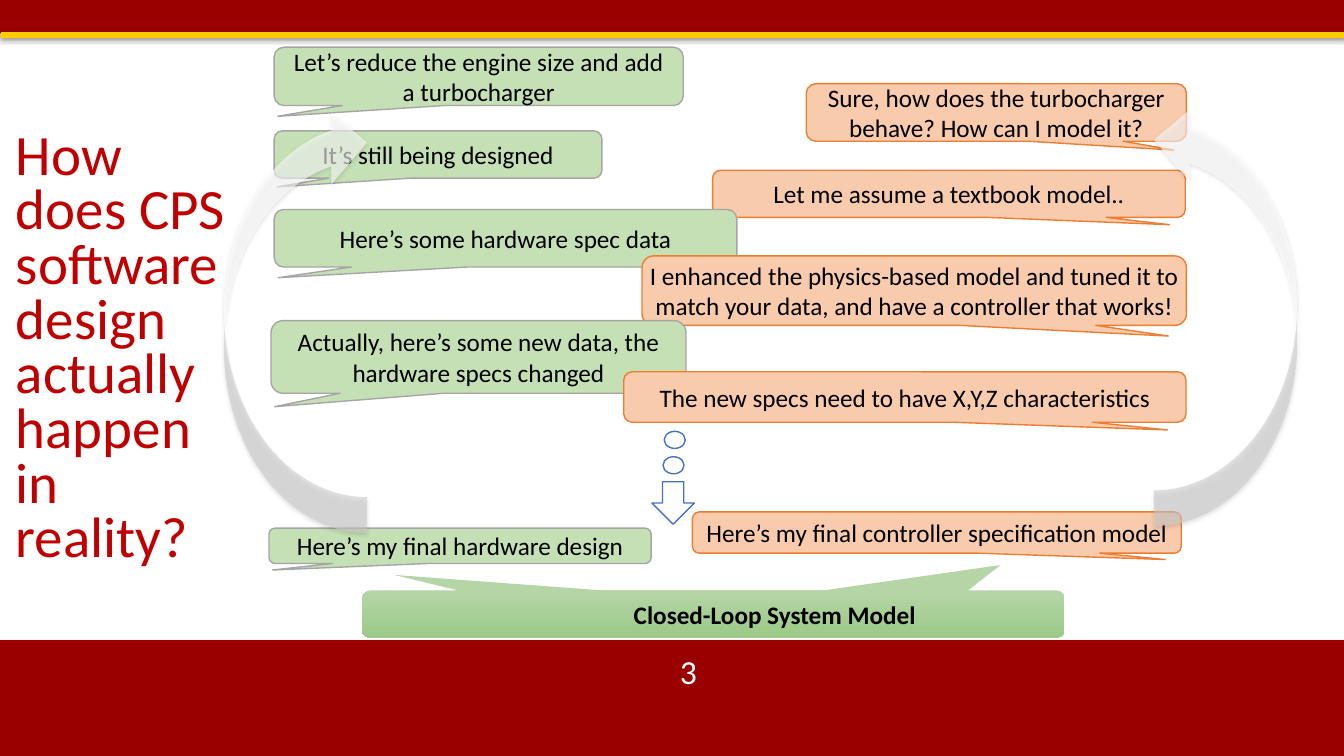
"""Build the slide about how CPS software design happens in reality."""
from dataclasses import dataclass
from typing import NamedTuple, Optional

import pptx
import pptx.dml.color
import pptx.enum.shapes
import pptx.enum.text
import pptx.oxml.ns
import pptx.util
from lxml import etree

Cm = pptx.util.Cm
Pt = pptx.util.Pt
qn = pptx.oxml.ns.qn
Kind = pptx.enum.shapes.MSO_SHAPE
Align = pptx.enum.text.PP_ALIGN
Anchor = pptx.enum.text.MSO_ANCHOR

COLORS = {
    "cardinal": "990000", "gold": "FFCC00", "title": "C00000",
    "black": "000000", "white": "FFFFFF",
    "green": "C5E0B4", "gray": "A5A5A5", "peach": "F8CBAD",
    "orange": "ED7D31", "blue": "4472C4",
    "model top": "B5D5A7", "model bottom": "9CC987",
}


class Box(NamedTuple):
    left: float
    top: float
    width: float
    height: float


class Speaker(NamedTuple):
    fill: str
    line: str
    tail: tuple[float, float]
    padded: bool


@dataclass
class Remark:
    speaker: Speaker
    box: Box
    text: str


HARDWARE = Speaker("green", "gray", (-0.491, 0.685), True)
CONTROLS = Speaker("peach", "orange", (0.467, 0.654), False)

REMARKS = [
    Remark(HARDWARE, Box(6.91, 1.19, 10.31, 1.47), "Let’s reduce the engine size and add a turbocharger"),
    Remark(CONTROLS, Box(20.32, 2.11, 9.58, 1.45), "Sure, how does the turbocharger behave? How can I model it?"),
    Remark(HARDWARE, Box(6.91, 3.3, 8.26, 1.19), "It’s still being designed"),
    Remark(CONTROLS, Box(17.96, 4.29, 11.91, 1.19), "Let me assume a textbook model.."),
    Remark(HARDWARE, Box(6.91, 5.28, 11.66, 1.45), "Here’s some hardware spec data"),
    Remark(CONTROLS, Box(16.18, 6.45, 13.72, 1.75),
           "I enhanced the physics-based model and tuned it to match your data, and have a controller that works!"),
    Remark(HARDWARE, Box(6.83, 8.08, 10.46, 1.83), "Actually, here’s some new data, the hardware specs changed"),
    Remark(HARDWARE, Box(6.78, 13.31, 9.63, 0.89), "Here’s my final hardware design"),
    Remark(CONTROLS, Box(17.45, 12.9, 12.32, 1.04), "Here’s my final controller specification model"),
    Remark(CONTROLS, Box(15.72, 9.37, 14.17, 1.27), "The new specs need to have X,Y,Z characteristics"),
]


def rgb(name: str) -> pptx.dml.color.RGBColor:
    return pptx.dml.color.RGBColor.from_string(COLORS[name])


def add_shape(page, kind, box: Box, fill: Optional[str] = None, line: Optional[str] = None):
    shape = page.shapes.add_shape(kind, *map(Cm, box))
    shape.shadow.inherit = False
    if fill:
        shape.fill.solid()
        shape.fill.fore_color.rgb = rgb(fill)
    if line:
        shape.line.color.rgb = rgb(line)
        shape.line.width = Pt(1)
    else:
        shape.line.fill.background()
    return shape


def add_shadow(shape, opacity: int, distance: float) -> None:
    effects = shape.element.spPr.find(qn("a:effectLst"))
    shadow = etree.SubElement(effects, qn("a:outerShdw"), blurRad=str(Pt(3.1)),
                              dist=str(Pt(distance)), dir="5400000", rotWithShape="0")
    color = etree.SubElement(shadow, qn("a:srgbClr"), val=COLORS["black"])
    etree.SubElement(color, qn("a:alpha"), val=str(opacity * 1000))


def write(shape, text: str, size: float, color: str, bold: Optional[bool] = None, align=Align.CENTER):
    frame = shape.text_frame
    frame.word_wrap = True
    frame.vertical_anchor = Anchor.MIDDLE
    para = frame.paragraphs[0]
    para.text = text
    para.alignment = align
    para.font.size, para.font.name, para.font.bold = Pt(size), "Calibri", bold
    para.font.color.rgb = rgb(color)
    return para


def add_remark(page, remark: Remark) -> None:
    speaker = remark.speaker
    shape = add_shape(page, Kind.ROUNDED_RECTANGULAR_CALLOUT, remark.box, speaker.fill, speaker.line)
    shape.adjustments[0], shape.adjustments[1] = speaker.tail
    if not speaker.padded:
        frame = shape.text_frame
        frame.margin_left = frame.margin_right = frame.margin_top = frame.margin_bottom = 0
    write(shape, remark.text, 18, "black")


def add_loop_arrow(page, box: Box, mirrored: bool) -> None:
    arrow = add_shape(page, Kind.CURVED_LEFT_ARROW, box, "white")
    arrow.rotation = 180
    if mirrored:
        arrow.element.spPr.find(qn("a:xfrm")).set("flipH", "1")
    color = arrow.element.spPr.find(qn("a:solidFill")).find(qn("a:srgbClr"))
    etree.SubElement(color, qn("a:alpha"), val="60000")
    add_shadow(arrow, 19, 1.6)


def add_model(page, left: float, tail: tuple[float, float]):
    shape = add_shape(page, Kind.ROUNDED_RECTANGULAR_CALLOUT, Box(left, 14.88, 14.61, 1.19))
    shape.adjustments[0], shape.adjustments[1] = tail
    shape.fill.gradient()
    shape.fill.gradient_angle = 270
    for stop, color in zip(shape.fill.gradient_stops, ("model top", "model bottom")):
        stop.color.rgb = rgb(color)
    return shape


def main() -> None:
    deck = pptx.Presentation()
    deck.slide_width, deck.slide_height = Cm(33.87), Cm(19.05)
    page = deck.slides.add_slide(deck.slide_layouts[6])

    add_shadow(add_shape(page, Kind.RECTANGLE, Box(0, 16.13, 33.87, 2.92), "cardinal"), 35, 1.8)
    add_shadow(add_shape(page, Kind.RECTANGLE, Box(0, 0, 33.87, 0.84), "cardinal"), 35, 1.8)
    add_shadow(add_shape(page, Kind.RECTANGLE, Box(0.03, 0.81, 33.84, 0.15), "gold"), 38, 1.6)
    number = page.shapes.add_textbox(*map(Cm, Box(13.54, 16.41, 7.62, 1.02)))
    write(number, "3", 24, "white")

    for remark in REMARKS:
        add_remark(page, remark)

    add_shape(page, Kind.DOWN_ARROW, Box(16.43, 12.14, 1.07, 1.07), "white", "blue")
    add_loop_arrow(page, Box(5.64, 2.69, 3.61, 10.74), False)
    add_loop_arrow(page, Box(29.08, 2.62, 3.61, 10.64), True)
    add_model(page, 9.12, (-0.444, -0.83))
    for left, top in ((16.71, 11.51), (16.74, 10.87)):
        add_shape(page, Kind.OVAL, Box(left, top, 0.53, 0.43), "white", "blue")

    title = page.shapes.add_textbox(*map(Cm, Box(0.15, 2.62, 5.79, 12.4)))
    question = "How does CPS software design actually happen in reality?"
    write(title, question, 40.7, "title", align=Align.LEFT).line_spacing = 0.8
    write(add_model(page, 12.22, (0.389, -1.038)), "Closed-Loop System Model", 18, "black", bold=True)

    deck.save("out.pptx")


if __name__ == "__main__":
    main()
